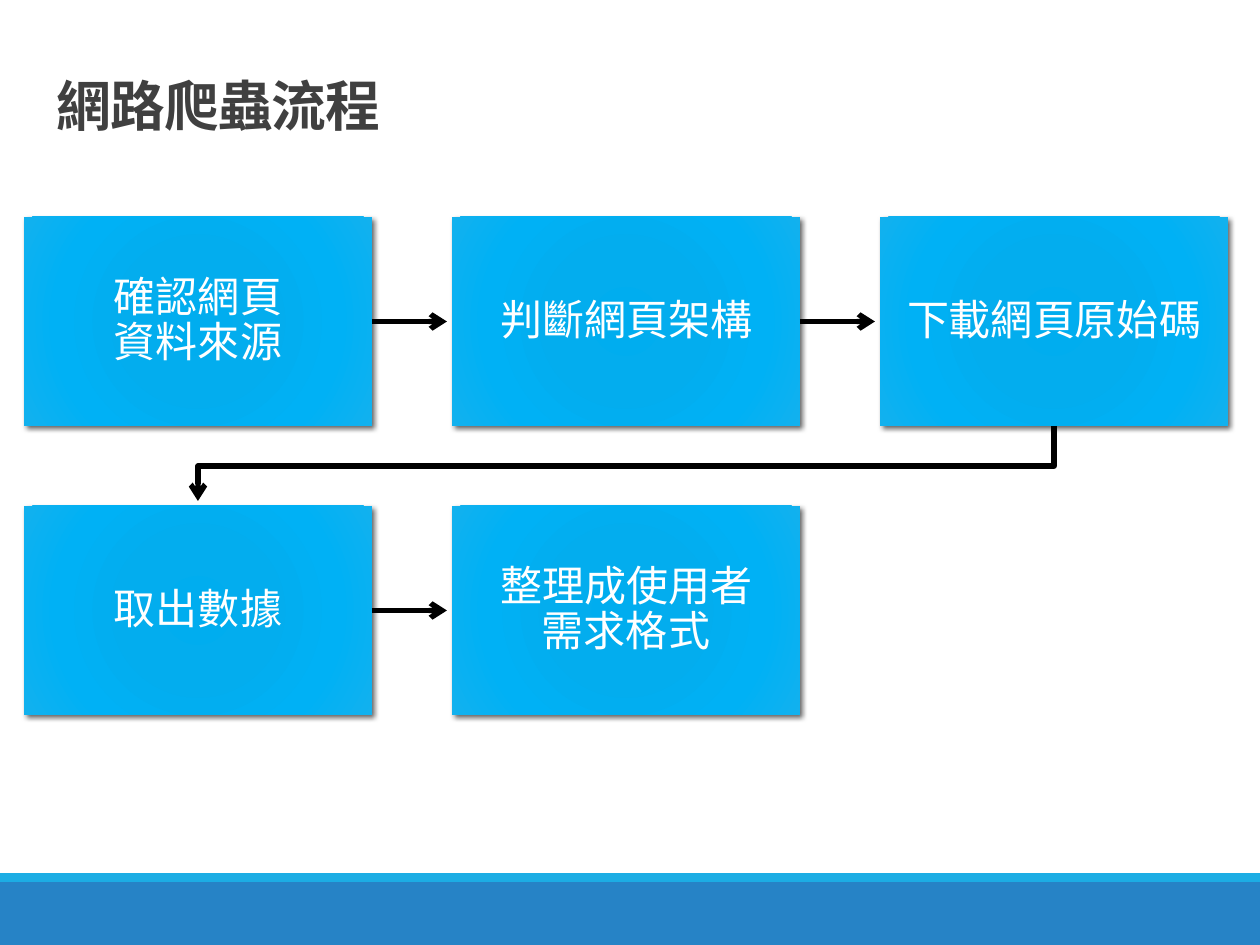
from lxml.etree import SubElement
from pptx import Presentation
from pptx.dml.color import RGBColor
from pptx.enum.shapes import MSO_CONNECTOR as Connector, MSO_SHAPE as Shape
from pptx.enum.text import MSO_ANCHOR as Anchor, PP_ALIGN as Align
from pptx.oxml import parse_xml
from pptx.oxml.ns import nsdecls, qn
from pptx.util import Emu, Pt

SCALE = 914400 / 126
COLORS = {"title": "404040", "text": "FFFFFF", "arrow": "000000", "shadow": "000000",
          "footer": "2683C6", "stripe": "1CADE4"}
GRADIENT = {0: "00ADEF", 34: "03ADEE", 70: "00B1F5", 100: "12B1EE"}
FONT = "Noto Sans CJK SC"
TITLE = {"size": Pt(31.2), "bold": True}
STEP = {"size": Pt(24), "bold": False}
STEPS = ["確認網頁\n資料來源", "判斷網頁架構", "下載網頁原始碼", "取出數據", "整理成使用者\n需求格式"]
COLUMNS = 3
LEFT, TOP, WIDTH, HEIGHT, GAP = 24, 217, 348, 209, 80
ARROW_GAP = 5


def px(value):
    return Emu(round(value * SCALE))


class FlowSlide:
    def __init__(self, deck):
        self.page = deck.slides.add_slide(deck.slide_layouts[6])

    def fill_text(self, shape, text, style, color, margin, **layout):
        frame = shape.text_frame
        frame.word_wrap = True
        frame.vertical_anchor = layout["anchor"]
        for side, inset in zip(("left", "top", "right", "bottom"), margin):
            setattr(frame, f"margin_{side}", px(inset))
        para = frame.paragraphs[0]
        para.text = text
        para.alignment = layout["align"]
        para.line_spacing = layout["spacing"]
        for span in para.runs:
            for name, value in {"name": FONT, **style}.items():
                setattr(span.font, name, value)
            span.font.color.rgb = RGBColor.from_string(COLORS[color])
            SubElement(span.font._element, qn("a:ea"), typeface=FONT)
        return para

    def title(self, text, left, top, width, height):
        box = self.page.shapes.add_textbox(px(left), px(top), px(width), px(height))
        para = self.fill_text(box, text, TITLE, "title", (13, 6, 13, 6),
                              anchor=Anchor.BOTTOM, align=Align.LEFT, spacing=0.75)
        for span in para.runs:
            span.font._element.set("spc", "-50")

    def band(self, left, top, width, height, color):
        shape = self.page.shapes.add_shape(Shape.RECTANGLE, px(left), px(top), px(width), px(height))
        shape.shadow.inherit = False
        shape.fill.solid()
        shape.fill.fore_color.rgb = RGBColor.from_string(COLORS[color])
        shape.line.fill.background()
        return shape

    def step(self, text, left, top):
        shape = self.band(left, top, WIDTH, HEIGHT, "stripe")
        properties = shape._element.spPr
        stops = "".join(f'<a:gs pos="{position * 1000}"><a:srgbClr val="{color}"/></a:gs>'
                        for position, color in GRADIENT.items())
        properties.replace(properties.find(qn("a:solidFill")), parse_xml(
            f'<a:gradFill {nsdecls("a")} rotWithShape="1"><a:gsLst>{stops}</a:gsLst>'
            '<a:path path="circle"><a:fillToRect l="100000" t="100000" r="100000" b="100000"/>'
            '</a:path></a:gradFill>'))
        properties.find(qn("a:effectLst")).append(parse_xml(
            f'<a:outerShdw {nsdecls("a")} blurRad="{Pt(3)}" dist="{Pt(2)}" dir="2700000" '
            f'algn="tl" rotWithShape="0"><a:srgbClr val="{COLORS["shadow"]}">'
            '<a:alpha val="60000"/></a:srgbClr></a:outerShdw>'))
        self.fill_text(shape, text, STEP, "text", (24, 24, 24, 24),
                       anchor=Anchor.MIDDLE, align=Align.CENTER, spacing=0.9)
        return shape

    def arrow_line(self, shape):
        shape.line.width = Pt(3)
        shape.line.color.rgb = RGBColor.from_string(COLORS["arrow"])
        SubElement(shape.line._get_or_add_ln(), qn("a:tailEnd"), type="arrow")

    def arrow(self, source, left, middle):
        line = self.page.shapes.add_connector(
            Connector.STRAIGHT, px(left), px(middle), px(left + GAP - ARROW_GAP), px(middle))
        line.begin_connect(source, 3)
        line.end_y = line.begin_y
        self.arrow_line(line)
        SubElement(line._element.spPr, qn("a:effectLst"))

    def bent_arrow(self, points):
        corners = [(px(x), px(y)) for x, y in points]
        builder = self.page.shapes.build_freeform(*corners[0])
        builder.add_line_segments(corners[1:], close=False)
        shape = builder.convert_to_shape()
        shape.fill.background()
        shape.shadow.inherit = False
        self.arrow_line(shape)


def main():
    deck = Presentation()
    deck.slide_width, deck.slide_height = px(1260), px(945)
    slide = FlowSlide(deck)
    slide.band(0, 882, 1260, 63, "footer")
    slide.band(0, 873, 1260, 9, "stripe")
    slide.title("網路爬蟲流程", 44, 28, 1196, 114)

    for index, text in enumerate(STEPS):
        row, column = divmod(index, COLUMNS)
        left = LEFT + column * (WIDTH + GAP)
        top = TOP + row * (HEIGHT + GAP)
        step = slide.step(text, left, top)
        if index == len(STEPS) - 1:
            continue
        if column < COLUMNS - 1:
            slide.arrow(step, left + WIDTH, top + HEIGHT / 2)
        else:
            start, end = left + WIDTH / 2, LEFT + WIDTH / 2
            bottom = top + HEIGHT
            turn = bottom + GAP / 2
            slide.bent_arrow([(start, bottom), (start, turn), (end, turn),
                              (end, bottom + GAP - ARROW_GAP)])
    deck.save("out.pptx")


if __name__ == "__main__":
    main()
